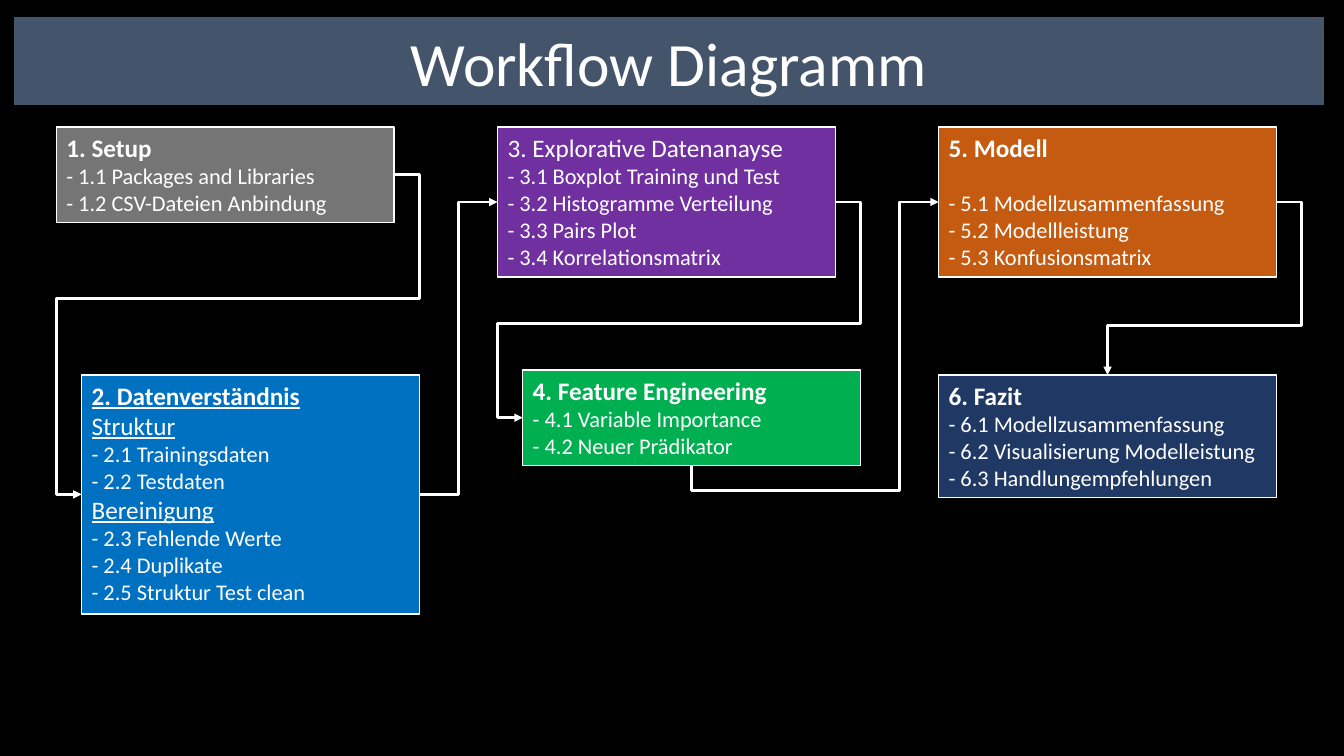
"""Draw the workflow diagram slide with six linked step boxes."""
from dataclasses import dataclass

from lxml import etree
from pptx import Presentation
from pptx.dml.color import RGBColor
from pptx.enum.shapes import MSO_CONNECTOR
from pptx.enum.text import MSO_ANCHOR, MSO_AUTO_SIZE, PP_ALIGN
from pptx.oxml.ns import qn
from pptx.shapes.autoshape import Shape
from pptx.slide import Slide
from pptx.util import Inches, Pt

ELBOW = MSO_CONNECTOR.ELBOW
BOTTOM = MSO_ANCHOR.BOTTOM
FIT, FIXED = MSO_AUTO_SIZE.SHAPE_TO_FIT_TEXT, MSO_AUTO_SIZE.NONE
CENTER = PP_ALIGN.CENTER
TOP, LEFT, LOW, RIGHT = range(4)


@dataclass(frozen=True)
class Theme:
    font: str = "Calibri"
    back: str = "000000"
    ink: str = "FFFFFF"
    banner: str = "44546A"
    gray: str = "808080"
    blue: str = "0070C0"
    purple: str = "7030A0"
    green: str = "00B050"
    orange: str = "C55A11"
    navy: str = "203864"
    title: int = 44
    head: int = 18
    item: int = 16
    border: int = 1
    arrow: int = 2


@dataclass(frozen=True)
class Step:
    col: int
    top: float
    fill: str
    lines: tuple[str, ...]
    shift: float = 0
    bold: bool = True
    under: bool = False
    gap: float = 0
    alpha: int = 100


@dataclass(frozen=True)
class Link:
    start: int
    exit: int
    end: int
    entry: int
    bends: tuple[float, ...]


THEME = Theme()
EDGE, PITCH, WIDTH = 0.56, 4.375, 3.35
INDENT = 0.25
UPPER, LOWER = 1.26, 3.72
LEADING, INSET = 1.22, 0.05

STEPS = (
    Step(0, UPPER, THEME.gray, (
        "1. Setup",
        "- 1.1 Packages and Libraries",
        "- 1.2 CSV-Dateien Anbindung"), alpha=92),
    Step(0, LOWER, THEME.blue, (
        "2. Datenverständnis",
        "Struktur",
        "- 2.1 Trainingsdaten",
        "- 2.2 Testdaten",
        "Bereinigung",
        "- 2.3 Fehlende Werte",
        "- 2.4 Duplikate",
        "- 2.5 Struktur Test clean"), shift=INDENT, under=True),
    Step(1, UPPER, THEME.purple, (
        "3. Explorative Datenanayse",
        "- 3.1 Boxplot Training und Test",
        "- 3.2 Histogramme Verteilung",
        "- 3.3 Pairs Plot",
        "- 3.4 Korrelationsmatrix"), bold=False),
    Step(1, 3.67, THEME.green, (
        "4. Feature Engineering",
        "- 4.1 Variable Importance",
        "- 4.2 Neuer Prädikator"), shift=INDENT),
    Step(2, UPPER, THEME.orange, (
        "5. Modell",
        "- 5.1 Modellzusammenfassung",
        "- 5.2 Modellleistung",
        "- 5.3 Konfusionsmatrix"), gap=19.5),
    Step(2, LOWER, THEME.navy, (
        "6. Fazit",
        "- 6.1 Modellzusammenfassung",
        "- 6.2 Visualisierung Modelleistung",
        "- 6.3 Handlungempfehlungen")),
)

LINKS = (
    Link(0, RIGHT, 1, LEFT, (-8.1, 38.8, 108.1)),
    Link(1, RIGHT, 2, LEFT, (50,)),
    Link(2, RIGHT, 3, LEFT, (-8.1, 56.3, 108.1)),
    Link(3, LOW, 4, LEFT, (-9.6, 84.3)),
    Link(4, RIGHT, 5, TOP, (-14.9, 71.6)),
)


def rgb(code: str) -> RGBColor:
    """Turn a hex code into a colour."""
    return RGBColor.from_string(code)


def paint(shape: Shape, code: str) -> None:
    """Fill a shape with one colour."""
    shape.fill.solid()
    shape.fill.fore_color.rgb = rgb(code)


def style(para, size: int, bold: bool = False, under: bool = False) -> None:
    """Set the font of a paragraph."""
    font = para.font
    font.name, font.size = THEME.font, Pt(size)
    font.bold, font.underline = bold, under
    font.color.rgb = rgb(THEME.ink)


def add_title(slide: Slide, text: str) -> None:
    """Place the banner title."""
    title = slide.shapes.title
    title.left, title.top = Inches(0.14), Inches(0.17)
    title.width, title.height = Inches(12.99), Inches(0.87)
    paint(title, THEME.banner)
    frame = title.text_frame
    frame.text = text
    frame.auto_size, frame.vertical_anchor = FIXED, BOTTOM
    para = frame.paragraphs[0]
    para.alignment, para.line_spacing = CENTER, 0.9
    style(para, THEME.title)


def add_step(slide: Slide, step: Step) -> Shape:
    """Draw a step box as high as its text."""
    sizes = [THEME.item if line.startswith("-") else THEME.head for line in step.lines]
    high = 2 * INSET + (LEADING * sum(sizes) + step.gap) / 72
    left = EDGE + PITCH * step.col + step.shift
    box = slide.shapes.add_textbox(Inches(left), Inches(step.top), Inches(WIDTH), Inches(high))
    paint(box, step.fill)
    if step.alpha < 100:
        color = box.fill._xPr.find(".//" + qn("a:srgbClr"))
        etree.SubElement(color, qn("a:alpha"), val=str(step.alpha * 1000))
    box.line.color.rgb, box.line.width = rgb(THEME.ink), Pt(THEME.border)
    frame = box.text_frame
    frame.word_wrap, frame.auto_size = True, FIT
    frame.text = "\n".join(step.lines)
    for row, (para, size) in enumerate(zip(frame.paragraphs, sizes)):
        style(para, size, step.bold and row == 0, step.under and size == THEME.head)
    if step.gap:
        frame.paragraphs[1].space_before = Pt(step.gap)
    return box


def add_link(slide: Slide, link: Link, boxes: list[Shape]) -> None:
    """Join two boxes with a bent arrow."""
    wire = slide.shapes.add_connector(ELBOW, 0, 0, 0, 0)
    wire.begin_connect(boxes[link.start], link.exit)
    wire.end_connect(boxes[link.end], link.entry)
    wire.line.color.rgb, wire.line.width = rgb(THEME.ink), Pt(THEME.arrow)
    props = wire._element.spPr
    if link.exit == LOW:
        wide, high = wire.width, wire.height
        wire.left += (wide - high) // 2
        wire.top += (high - wide) // 2
        wire.width, wire.height = high, wide
        for key, value in (("rot", "5400000"), ("flipH", "1"), ("flipV", "1")):
            props.find(qn("a:xfrm")).set(key, value)
    geom = props.find(qn("a:prstGeom"))
    geom.set("prst", f"bentConnector{len(link.bends) + 2}")
    guides = geom.find(qn("a:avLst"))
    for rank, bend in enumerate(link.bends, 1):
        etree.SubElement(guides, qn("a:gd"), name=f"adj{rank}", fmla=f"val {round(bend * 1000)}")
    etree.SubElement(props.find(qn("a:ln")), qn("a:tailEnd"), type="triangle")
    etree.SubElement(props, qn("a:effectLst"))


def main() -> None:
    """Build and save the slide."""
    deck = Presentation()
    deck.slide_width, deck.slide_height = Inches(13.33), Inches(7.5)
    slide = deck.slides.add_slide(deck.slide_layouts[5])
    back = slide.background.fill
    back.solid()
    back.fore_color.rgb = rgb(THEME.back)
    add_title(slide, "Workflow Diagramm")
    boxes = [add_step(slide, step) for step in STEPS]
    for link in LINKS:
        add_link(slide, link, boxes)
    deck.save("out.pptx")


if __name__ == "__main__":
    main()
